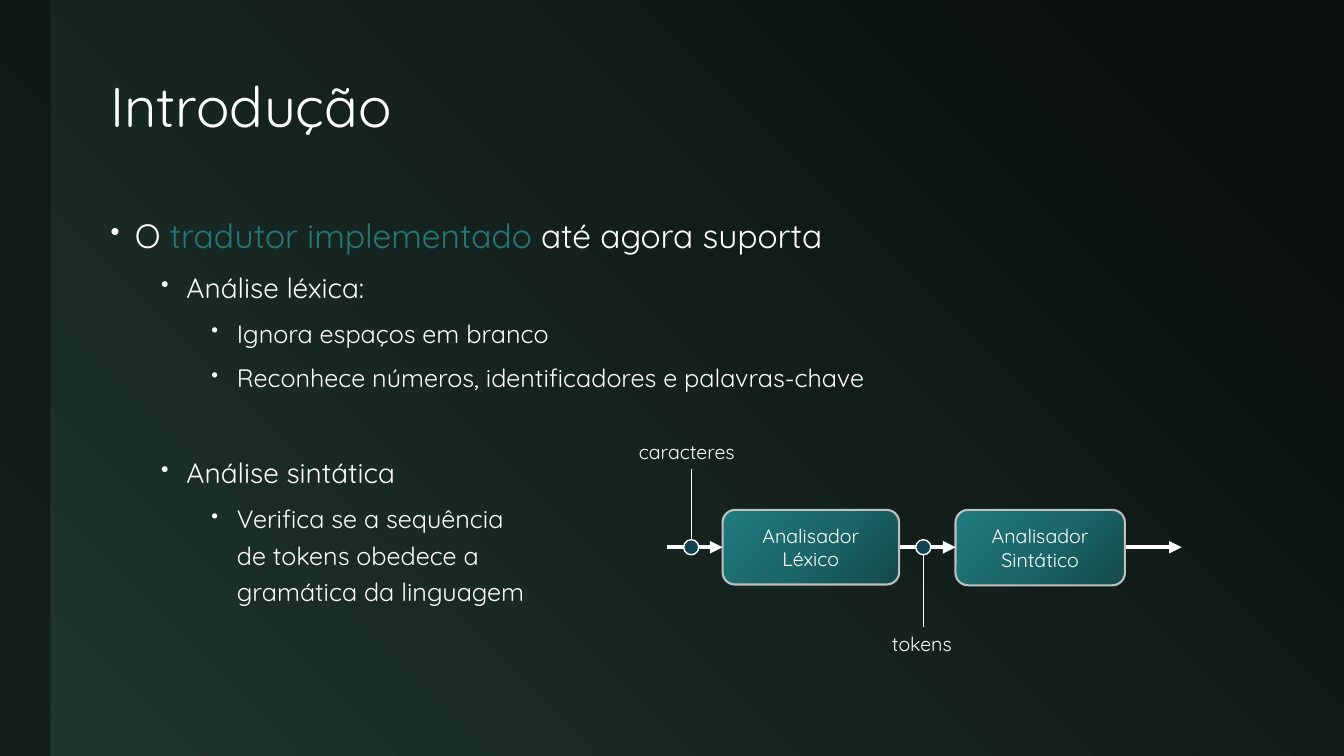
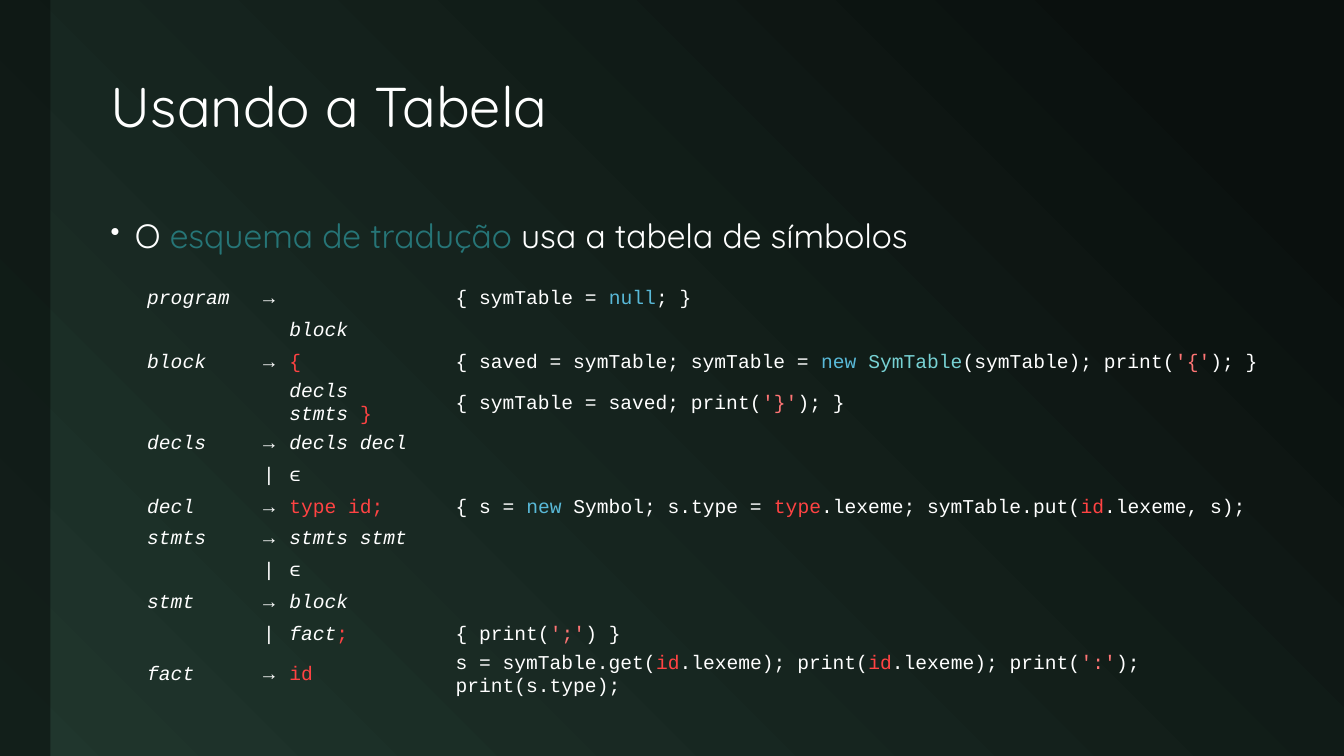
import copy

import pptx
import pptx.dml.color
import pptx.enum.shapes
import pptx.enum.text
import pptx.oxml
import pptx.oxml.ns
import pptx.util

Cm = pptx.util.Cm
Pt = pptx.util.Pt
qn = pptx.oxml.ns.qn
SHAPES = pptx.enum.shapes.MSO_SHAPE
ALIGN = pptx.enum.text.PP_ALIGN
MIDDLE = pptx.enum.text.MSO_ANCHOR.MIDDLE

WHITE = "FFFFFF"
NIGHT = "0A100E"
FOREST = "20362D"
ACCENT = "267577"
BODY_FONT = "Quicksand"
CODE_FONT = "Courier New"
NO_TABLE_STYLE = "{2D5ABB26-0587-4C30-8999-92F81FD0307C}"
BOX_GRADIENT = [(0, "13494A"), (0.5, "1B676A"), (1, "207B7D")]

# Per bullet level: text size, left indent, hanging indent, space before
LEVELS = [(24, 0.61, 0.61, 18), (20, 1.91, 0.64, 6), (18, 3.18, 0.64, 6)]

# Per code style: colour, italic, bold
CODE_STYLES = {
    "plain": (WHITE, False, False),
    "arrow": (WHITE, False, True),
    "rule": (WHITE, True, False),
    "token": ("FF4343", False, False),
    "keyword": ("59B9D8", False, False),
    "class": ("77D1D3", False, False),
    "string": ("FF7575", False, False),
}


def rgb(value):
    return pptx.dml.color.RGBColor.from_string(value)


def add_element(parent, tag, **attributes):
    child = parent.makeelement(qn(tag), attributes)
    parent.append(child)
    return child


def set_gradient(fill, element, stops, angle):
    """Fill with (position, colour) stops; the angle runs counter-clockwise."""
    fill.gradient()
    fill.gradient_angle = angle
    stop_list = next(element.iter(qn("a:gsLst")))
    while len(stop_list) < len(stops):
        stop_list.append(copy.deepcopy(stop_list[-1]))
    for stop, (position, color) in zip(fill.gradient_stops, stops):
        stop.position = position
        stop.color.rgb = rgb(color)


class Deck:
    def __init__(self):
        self.presentation = pptx.Presentation()
        self.presentation.slide_width = Cm(33.87)
        self.presentation.slide_height = Cm(19.05)
        self.slide = None
        master = self.presentation.slide_master
        set_gradient(master.background.fill, master.element,
                     [(0.1, NIGHT), (1, FOREST)], 225)

    def add_slide(self, title):
        blank = self.presentation.slide_layouts[6]
        self.slide = self.presentation.slides.add_slide(blank)
        band = self.shape(SHAPES.RECTANGLE, 0, 0, 1.27, 19.05)
        band.fill.solid()
        band.fill.fore_color.rgb = rgb(NIGHT)
        color = next(band.element.spPr.iter(qn("a:srgbClr")))
        add_element(color, "a:alpha", val="60000")
        band.line.fill.background()
        frame = self.text_box(2.54, 1.07, 29.59, 3.38)
        frame.vertical_anchor = MIDDLE
        frame.text = title
        frame.paragraphs[0].line_spacing = 0.9
        self.format_runs(frame, 40)

    def shape(self, kind, left, top, width, height):
        shape = self.slide.shapes.add_shape(
            kind, Cm(left), Cm(top), Cm(width), Cm(height))
        shape.shadow.inherit = False
        return shape

    def text_box(self, left, top, width, height):
        box = self.slide.shapes.add_textbox(
            Cm(left), Cm(top), Cm(width), Cm(height))
        box.text_frame.word_wrap = True
        return box.text_frame

    def format_run(self, run, size, color=WHITE, font=BODY_FONT):
        run.font.name = font
        run.font.size = Pt(size)
        run.font.color.rgb = rgb(color)

    def format_runs(self, frame, size):
        for paragraph in frame.paragraphs:
            for run in paragraph.runs:
                self.format_run(run, size)

    def bullets(self, items):
        """Items are (level, [(text, colour), ...], extra space before)."""
        frame = self.text_box(2.54, 5.08, 29.59, 12.27)
        for index, (level, parts, extra) in enumerate(items):
            paragraph = frame.add_paragraph() if index else frame.paragraphs[0]
            size, left, hanging, space = LEVELS[level]
            properties = paragraph._p.get_or_add_pPr()
            properties.set("marL", str(Cm(left)))
            properties.set("indent", str(-Cm(hanging)))
            add_element(properties, "a:buSzPct", val="80000")
            add_element(properties, "a:buChar", char="•")
            paragraph.line_spacing = 1.2
            if index:
                paragraph.space_before = Pt(space + extra)
            for number, (text, color) in enumerate(parts):
                if number:
                    paragraph.add_run().text = text
                else:
                    paragraph.text = text
                for run in paragraph.runs[number:]:
                    self.format_run(run, size, color)

    def stage(self, text, left, width, height):
        box = self.shape(SHAPES.ROUNDED_RECTANGLE, left, 12.85, width, height)
        set_gradient(box.fill, box.element, BOX_GRADIENT, 135)
        box.line.color.rgb = rgb("BFBFBF")
        box.line.width = Pt(1.5)
        frame = box.text_frame
        frame.vertical_anchor = MIDDLE
        frame.text = text
        for paragraph in frame.paragraphs:
            paragraph.alignment = ALIGN.CENTER
        self.format_runs(frame, 14)

    def label(self, text, left, top, width):
        frame = self.text_box(left, top, width, 0.86)
        frame.word_wrap = False
        frame.auto_size = pptx.enum.text.MSO_AUTO_SIZE.SHAPE_TO_FIT_TEXT
        frame.text = text
        self.format_runs(frame, 14)

    def line(self, start, end, width, arrow=False):
        connector = self.slide.shapes.add_connector(
            pptx.enum.shapes.MSO_CONNECTOR.STRAIGHT,
            *(Cm(length) for length in (*start, *end)))
        connector.line.color.rgb = rgb(WHITE)
        connector.line.width = Pt(width)
        properties = connector.element.spPr
        if arrow:
            add_element(properties.find(qn("a:ln")), "a:tailEnd",
                        type="triangle")
        add_element(properties, "a:effectLst")

    def dot(self, center_x, center_y, size=0.38):
        dot = self.shape(SHAPES.OVAL, center_x - size / 2,
                         center_y - size / 2, size, size)
        dot.fill.solid()
        dot.fill.fore_color.rgb = rgb("134251")
        dot.line.color.rgb = rgb(WHITE)
        dot.line.width = Pt(1)

    def code_table(self, rows, widths, left, top, row_height):
        """Each cell is a list of (text, code style) parts."""
        graphic = self.slide.shapes.add_table(
            len(rows), len(widths), Cm(left), Cm(top),
            Cm(sum(widths)), Cm(row_height * len(rows)))
        table = graphic.table
        table.first_row = table.horz_banding = False
        next(graphic.element.iter(qn("a:tableStyleId"))).text = NO_TABLE_STYLE
        for column, width in zip(table.columns, widths):
            column.width = Cm(width)
        for row, contents in zip(table.rows, rows):
            row.height = Cm(row_height)
            for index, (cell, parts) in enumerate(zip(row.cells, contents)):
                cell.fill.background()
                cell.vertical_anchor = MIDDLE
                cell.margin_left = cell.margin_right = Cm(0.18)
                cell.margin_top = cell.margin_bottom = 0
                paragraph = cell.text_frame.paragraphs[0]
                paragraph.line_spacing = 1.05
                if index == 1:
                    paragraph.alignment = ALIGN.RIGHT
                for text, style in parts:
                    run = paragraph.add_run()
                    run.text = text
                    color, run.font.italic, run.font.bold = CODE_STYLES[style]
                    self.format_run(run, 14, color, CODE_FONT)


def build_introduction(deck):
    deck.add_slide("Introdução")
    deck.bullets([
        (0, [("O ", WHITE), ("tradutor implementado ", ACCENT),
             ("até agora suporta", WHITE)], 0),
        (1, [("Análise léxica:", WHITE)], 0),
        (2, [("Ignora espaços em branco", WHITE)], 0),
        (2, [("Reconhece números, identificadores e palavras-chave",
              WHITE)], 0),
        (1, [("Análise sintática", WHITE)], 34),
        (2, [("Verifica se a sequência\vde tokens obedece a\v"
              "gramática da linguagem", WHITE)], 0),
    ])
    deck.stage("Analisador\vLéxico", 18.21, 4.45, 1.88)
    deck.stage("Analisador\nSintático", 24.08, 4.27, 1.9)
    deck.label("caracteres", 15.85, 10.95, 3.15)
    deck.label("tokens", 22.23, 15.8, 2.08)
    flow_y = 13.79
    for start in (16.81, 22.68, 28.38):
        deck.line((start, flow_y), (start + 1.4, flow_y), 3, arrow=True)
    for x, label_edge in ((17.42, 11.81), (23.27, 15.8)):
        deck.line((x, label_edge), (x, flow_y), 0.75)
        deck.dot(x, flow_y)


def build_symbol_table(deck):
    deck.add_slide("Usando a Tabela")
    deck.bullets([(0, [("O ", WHITE), ("esquema de tradução ", ACCENT),
                       ("usa a tabela de símbolos", WHITE)], 0)])
    arrow = [("→", "plain")]
    bar = [("|", "plain")]
    epsilon = [("ϵ", "plain")]

    def rule(name):
        return [(name, "rule")]

    rows = [
        (rule("program"), [("→", "arrow")], [],
         [("{ symTable = ", "plain"), ("null", "keyword"), ("; }", "plain")]),
        ([], [], rule("block"), []),
        (rule("block"), arrow, [("{", "token")],
         [("{ saved = symTable; symTable = ", "plain"), ("new ", "keyword"),
          ("SymTable", "class"), ("(symTable); print(", "plain"),
          ("'{'", "string"), ("); }", "plain")]),
        ([], [], [("decls stmts ", "rule"), ("}", "token")],
         [("{ symTable = saved; print(", "plain"), ("'}'", "string"),
          ("); }", "plain")]),
        (rule("decls"), arrow, rule("decls decl"), []),
        ([], bar, epsilon, []),
        (rule("decl"), arrow, [("type id;", "token")],
         [("{ s = ", "plain"), ("new", "keyword"),
          (" Symbol; s.type = ", "plain"), ("type", "token"),
          (".lexeme; symTable.put(", "plain"), ("id", "token"),
          (".lexeme, s);", "plain")]),
        (rule("stmts"), arrow, rule("stmts stmt"), []),
        ([], bar, epsilon, []),
        (rule("stmt"), arrow, rule("block"), []),
        ([], bar, [("fact", "rule"), (";", "token")],
         [("{ print(", "plain"), ("';'", "string"), (") }", "plain")]),
        (rule("fact"), arrow, [("id", "token")],
         [("s = symTable.get(", "plain"), ("id", "token"),
          (".lexeme); print(", "plain"), ("id", "token"),
          (".lexeme); print(", "plain"), ("':'", "string"),
          ("); print(s.type);", "plain")]),
    ]
    deck.code_table(rows, [2.59, 0.99, 4.19, 20.6], 3.53, 7.14, 0.8)


def main():
    deck = Deck()
    build_introduction(deck)
    build_symbol_table(deck)
    deck.presentation.save("out.pptx")


if __name__ == "__main__":
    main()
